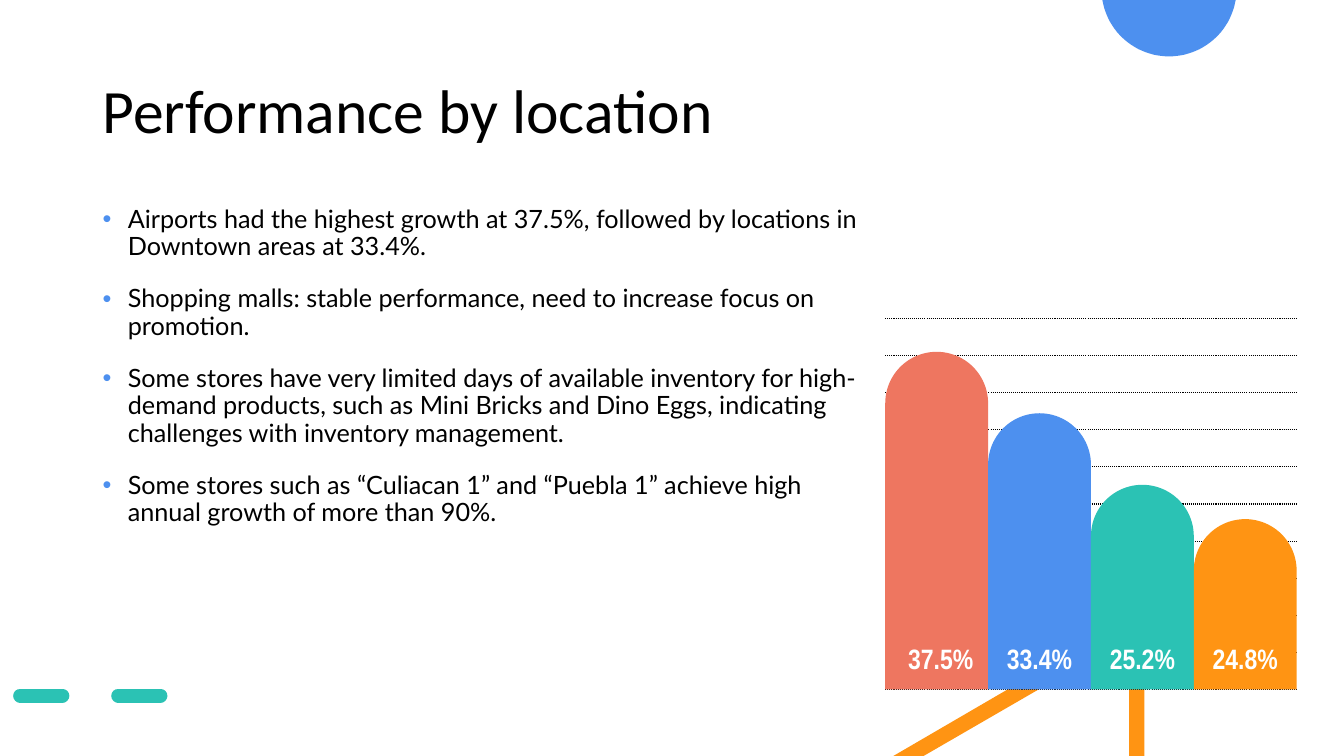
import math

import pptx
import pptx.util
import pptx.dml.color
import pptx.enum.dml
import pptx.enum.shapes
import pptx.enum.text
from lxml import etree

Inches = pptx.util.Inches
Pt = pptx.util.Pt
SHAPES = pptx.enum.shapes.MSO_SHAPE
ANCHORS = pptx.enum.text.MSO_ANCHOR
DASHES = pptx.enum.dml.MSO_LINE

COLORS = {
    "blue": "4D90EF",
    "orange": "FF9413",
    "teal": "2BC2B4",
    "coral": "EE7660",
    "black": "000000",
    "white": "FFFFFF",
}
PAGE_WIDTH, PAGE_HEIGHT = 13.33, 7.5
MARGIN = 0.92

# Chart grid: four equal columns, ten rows between dotted lines
CHART_LEFT, CHART_TOP, CHART_BOTTOM = 8.78, 3.16, 6.84
COLUMN = 1.02
ROWS = 10
ROW = (CHART_BOTTOM - CHART_TOP) / ROWS

# Label, bar height, colour, sideways shift of the label
LOCATIONS = [
    ("37.5%", 3.35, "coral", 0.04),
    ("33.4%", 2.74, "blue", 0),
    ("25.2%", 2.03, "teal", 0),
    ("24.8%", 1.69, "orange", 0),
]
FINDINGS = [
    "Airports had the highest growth at 37.5%, followed by locations in Downtown areas at 33.4%.",
    "Shopping malls: stable performance, need to increase focus on promotion.",
    "Some stores have very limited days of available inventory for high-demand products, "
    "such as Mini Bricks and Dino Eggs, indicating challenges with inventory management.",
    "Some stores such as “Culiacan 1” and “Puebla 1” achieve high annual growth of more than 90%.",
]


def color(name):
    return pptx.dml.color.RGBColor.from_string(COLORS[name])


def drawing_tag(name):
    return "{http://schemas.openxmlformats.org/drawingml/2006/main}" + name


def paint(shape, fill):
    shape.shadow.inherit = False
    shape.fill.solid()
    shape.fill.fore_color.rgb = color(fill)
    shape.line.fill.background()


def add_outline(page, points, fill):
    scale = Inches(1) / 1000
    points = [(round(x * 1000), round(y * 1000)) for x, y in points]
    builder = page.shapes.build_freeform(*points[0], scale=scale)
    builder.add_line_segments(points[1:], close=True)
    paint(builder.convert_to_shape(), fill)


def add_rule(page, left, right, y, ink, weight, dash):
    rule = page.shapes.add_connector(
        pptx.enum.shapes.MSO_CONNECTOR.STRAIGHT,
        Inches(left), Inches(y), Inches(right), Inches(y),
    )
    rule.line.color.rgb = color(ink)
    rule.line.width = Pt(weight)
    rule.line.dash_style = dash
    etree.SubElement(rule._element.spPr, drawing_tag("effectLst"))
    return rule


def add_text(page, area, lines, size, font, ink, anchor, bold=False):
    """Add a wrapping text box with one paragraph per line."""
    box = page.shapes.add_textbox(*map(Inches, area))
    frame = box.text_frame
    frame.word_wrap = True
    frame.vertical_anchor = anchor
    frame.text = "\n".join(lines)
    for para in frame.paragraphs:
        for span in para.runs:
            span.font.size = Pt(size)
            span.font.name = font
            span.font.bold = bold
            span.font.color.rgb = color(ink)
    return frame


def add_bullet(para, ink):
    props = para._p.get_or_add_pPr()
    props.set("marL", str(Inches(0.25)))
    props.set("indent", str(Inches(-0.25)))
    bullet_color = etree.SubElement(props, drawing_tag("buClr"))
    etree.SubElement(bullet_color, drawing_tag("srgbClr"), val=COLORS[ink])
    etree.SubElement(props, drawing_tag("buFont"), typeface="Arial")
    etree.SubElement(props, drawing_tag("buChar"), char="•")


def add_decorations(page):
    center_x, center_y, radius = 11.595, -0.11, 0.67
    start = math.asin(-center_y / radius)
    steps = 48
    angles = [start + (math.pi - 2 * start) * step / steps for step in range(steps + 1)]
    dome = [(center_x + radius * math.cos(a), center_y + radius * math.sin(a)) for a in angles]
    add_outline(page, dome, "blue")

    bracket = [
        (11.35, 7.5), (11.2, 7.5), (11.2, 6.32), (9.16, 7.5), (8.86, 7.5),
        (11.23, 6.12), (11.27, 6.11), (11.33, 6.13), (11.35, 6.19),
    ]
    add_outline(page, bracket, "orange")

    dashes = add_rule(page, 0.2, 1.95, 6.9, "teal", 10, DASHES.DASH)
    dashes.line._get_or_add_ln().set("cap", "rnd")


def add_findings(page):
    area = (MARGIN, 2, 7.86, 4.7)
    frame = add_text(page, area, FINDINGS, 18, "Lato", "black", ANCHORS.TOP)
    for index, para in enumerate(frame.paragraphs):
        para.line_spacing = 0.9
        para.space_before = Pt(10 if index else 0)
        para.space_after = Pt(8)
        add_bullet(para, "blue")


def add_bar(page, index, label, height, fill, shift):
    left = CHART_LEFT + index * COLUMN
    bar = page.shapes.add_shape(
        SHAPES.ROUND_2_SAME_RECTANGLE,
        Inches(left), Inches(CHART_BOTTOM - height), Inches(COLUMN), Inches(height),
    )
    bar.adjustments[0] = 0.5
    bar.adjustments[1] = 0
    paint(bar, fill)
    area = (left + shift, 6.27, COLUMN, 0.53)
    frame = add_text(page, area, [label], 20, "Arial Narrow", "white", ANCHORS.MIDDLE, bold=True)
    frame.paragraphs[0].alignment = pptx.enum.text.PP_ALIGN.CENTER


def add_location_bars(page):
    right = CHART_LEFT + len(LOCATIONS) * COLUMN
    for row in range(ROWS + 1):
        add_rule(page, CHART_LEFT, right, CHART_TOP + row * ROW, "black", 0.75, DASHES.ROUND_DOT)
    for index, location in enumerate(LOCATIONS):
        add_bar(page, index, *location)


def main():
    deck = pptx.Presentation()
    deck.slide_width = Inches(PAGE_WIDTH)
    deck.slide_height = Inches(PAGE_HEIGHT)
    page = deck.slides.add_slide(deck.slide_layouts[6])
    add_decorations(page)
    title_area = (MARGIN, 0.4, PAGE_WIDTH - 2 * MARGIN, 1.45)
    title = add_text(page, title_area, ["Performance by location"], 44, "Calibri", "black", ANCHORS.MIDDLE)
    title.paragraphs[0].line_spacing = 0.9
    add_findings(page)
    add_location_bars(page)
    deck.save("out.pptx")


if __name__ == "__main__":
    main()
